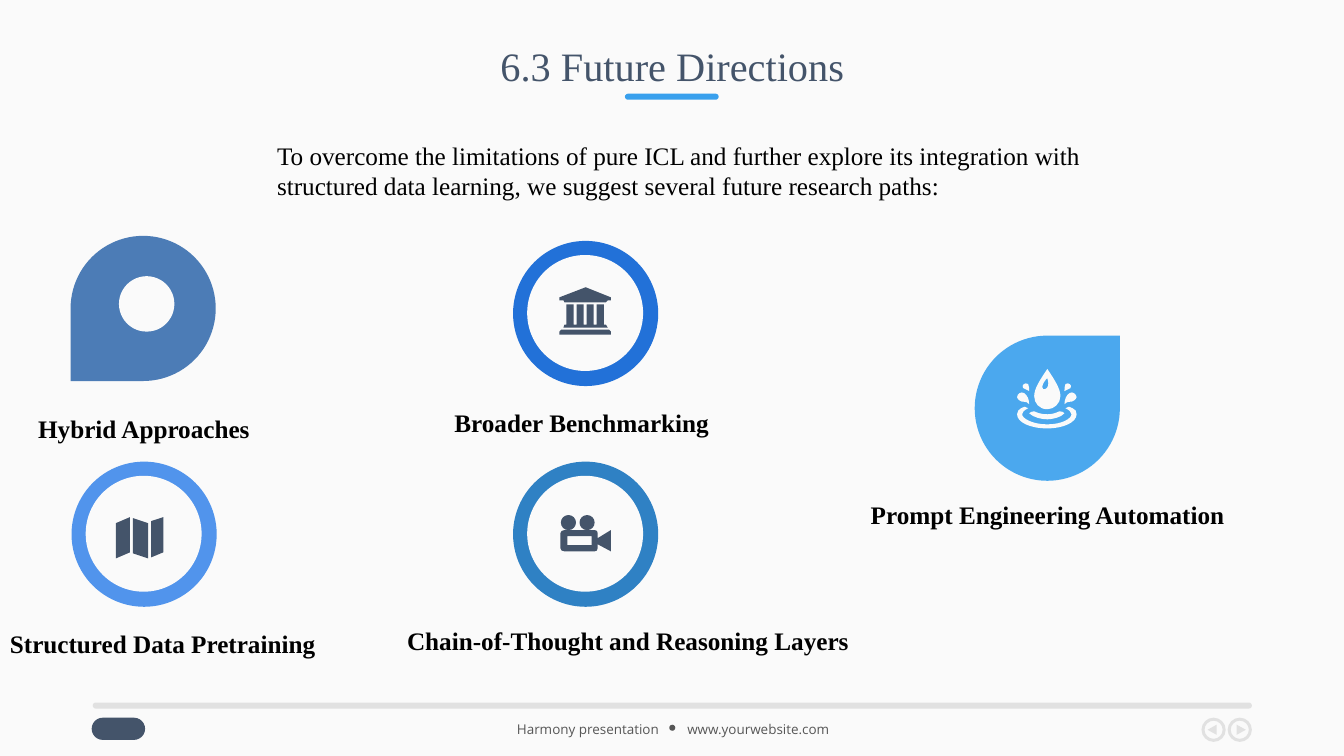
import pptx
import pptx.util
import pptx.dml.color
import pptx.enum.shapes
import pptx.enum.text
import pptx.oxml.ns
from lxml import etree

Inches = pptx.util.Inches
qn = pptx.oxml.ns.qn
SHAPES = pptx.enum.shapes.MSO_SHAPE
ALIGN = pptx.enum.text.PP_ALIGN
COLORS = {
    "paper": "FAFAFA", "slate": "44546A", "accent": "39A0ED", "rule": "E1E1E1",
    "footer": "565656", "ink": "000000", "map": "5194EC", "bank": "2271D8",
    "camera": "2F81C4", "hybrid": "3A6FAF",
}


def rectangle(left, top, right, bottom):
    return [(left, top), (right, top), (right, bottom), (left, bottom)]


def circle(x, y, r):
    k = 0.55 * r
    return [(x, y - r),
            (x + k, y - r, x + r, y - k, x + r, y), (x + r, y + k, x + k, y + r, x, y + r),
            (x - k, y + r, x - r, y + k, x - r, y), (x - r, y - k, x - k, y - r, x, y - r)]


def mirror(contour, axis):
    return [tuple(value if i % 2 else 2 * axis - value for i, value in enumerate(segment))
            for segment in contour]


class SlidePainter:
    FONT = "Times New Roman"

    def __init__(self, page):
        self.page = page
        page.background.fill.solid()
        page.background.fill.fore_color.rgb = self.color("paper")

    def color(self, name):
        return pptx.dml.color.RGBColor.from_string(COLORS[name])

    def paint(self, shape, color, opacity=100):
        shape.shadow.inherit = False
        shape.fill.solid()
        shape.fill.fore_color.rgb = self.color(color)
        shape.line.fill.background()
        if opacity < 100:
            rgb = shape.fill._xPr.find(".//" + qn("a:srgbClr"))
            etree.SubElement(rgb, qn("a:alpha"), val=str(opacity * 1000))
        return shape

    def shape(self, kind, left, top, width, height, color, opacity=100, parent=None):
        box = (parent or self.page).shapes.add_shape(
            kind, Inches(left), Inches(top), Inches(width), Inches(height))
        return self.paint(box, color, opacity)

    def pill(self, left, top, width, height, color):
        box = self.shape(SHAPES.ROUNDED_RECTANGLE, left, top, width, height, color)
        box.adjustments[0] = 0.5

    def ring(self, left, top, color):
        group = self.page.shapes.add_group_shape()
        self.shape(SHAPES.OVAL, left, top, 1.44, 1.44, color, parent=group)
        self.shape(SHAPES.OVAL, left + 0.14, top + 0.14, 1.15, 1.15, "paper", parent=group)

    def drop(self, left, top, color, rotation=0):
        box = self.shape(SHAPES.TEAR, left, top, 1.44, 1.44, color, opacity=90)
        box.rotation = rotation

    def icon(self, contours, color):
        """Draw closed contours: pairs are corners, sextuples are cubic curves."""
        builder = None
        for (x, y), *segments in contours:
            if builder is None:
                builder = self.page.shapes.build_freeform(Inches(x), Inches(y))
            else:
                builder.move_to(Inches(x), Inches(y))
            points = [(Inches(segment[i]), Inches(segment[i + 1]))
                      for segment in segments for i in range(0, len(segment), 2)]
            builder.add_line_segments(points, close=False)
        shape = self.paint(builder.convert_to_shape(), color)
        outline = shape._element.find(".//" + qn("a:path"))
        lines = iter(outline.findall(qn("a:lnTo")))
        for contour in contours:
            for segment in contour[1:]:
                last = next(lines)
                if len(segment) == 6:
                    last.tag = qn("a:cubicBezTo")
                    for extra in (next(lines), next(lines)):
                        last.append(extra[0])
                        outline.remove(extra)
            last.addnext(etree.Element(qn("a:close")))

    def text(self, words, left, top, width, height, size=18, color="ink", bold=False,
             font=FONT, align=ALIGN.LEFT, spacing=None, middle=False, tab=None):
        box = self.page.shapes.add_textbox(
            Inches(left), Inches(top), Inches(width), Inches(height))
        frame = box.text_frame
        frame.word_wrap = True
        if middle:
            frame.vertical_anchor = pptx.enum.text.MSO_ANCHOR.MIDDLE
        else:
            frame.auto_size = pptx.enum.text.MSO_AUTO_SIZE.SHAPE_TO_FIT_TEXT
        para = frame.paragraphs[0]
        para.text = words
        para.alignment = align
        if spacing:
            para.line_spacing = spacing
        if tab:
            tabs = etree.SubElement(para._p.get_or_add_pPr(), qn("a:tabLst"))
            etree.SubElement(tabs, qn("a:tab"), pos=str(Inches(tab)), algn="l")
        para.font.name = font
        para.font.size = pptx.util.Pt(size)
        para.font.bold = bold
        para.font.color.rgb = self.color(color)


def draw_footer(painter):
    painter.pill(0.91, 7.12, 0.53, 0.22, "slate")
    painter.pill(0.92, 6.97, 11.5, 0.06, "rule")
    for x, direction in ((12.3, 1), (12.04, -1)):
        arrow = [(x - 0.03 * direction, 7.19), (x + 0.06 * direction, 7.24),
                 (x - 0.03 * direction, 7.29)]
        painter.icon([circle(x, 7.24, 0.12), circle(x, 7.24, 0.09), arrow], "rule")
    painter.text("Harmony presentation\twww.yourwebsite.com", 5.03, 7.02, 3.4, 0.34,
                 size=9.6, color="footer", font="Open Sans", spacing=1.5, tab=1.69)
    painter.shape(SHAPES.OVAL, 6.64, 7.19, 0.06, 0.06, "footer")


def draw_water(painter):
    drop = [(10.39, 4.06), (10.46, 4.06, 10.52, 4, 10.52, 3.93),
            (10.52, 3.86, 10.47, 3.78, 10.39, 3.66),
            (10.31, 3.78, 10.26, 3.86, 10.26, 3.93), (10.26, 4, 10.31, 4.06, 10.39, 4.06)]
    glint = [(10.39, 3.75), (10.39, 3.76, 10.4, 3.78, 10.4, 3.8),
             (10.4, 3.87, 10.34, 3.88, 10.34, 3.84), (10.34, 3.81, 10.37, 3.77, 10.39, 3.75)]
    ripple = [(10.39, 4.16), (10.33, 4.16, 10.25, 4.14, 10.21, 4.1),
              (10.22, 4.09, 10.24, 4.08, 10.26, 4.08), (10.28, 4.09, 10.32, 4.11, 10.39, 4.11),
              (10.45, 4.11, 10.49, 4.09, 10.51, 4.08), (10.54, 4.08, 10.55, 4.09, 10.56, 4.1),
              (10.53, 4.14, 10.44, 4.16, 10.39, 4.16)]
    pool = [(10.68, 4.11), (10.68, 4.19, 10.55, 4.25, 10.39, 4.25),
            (10.22, 4.25, 10.09, 4.19, 10.09, 4.11), (10.09, 4.08, 10.11, 4.06, 10.13, 4.05),
            (10.15, 4.03, 10.18, 4.03, 10.2, 4.05), (10.16, 4.07, 10.14, 4.09, 10.14, 4.11),
            (10.14, 4.15, 10.24, 4.21, 10.39, 4.21), (10.54, 4.21, 10.63, 4.15, 10.63, 4.11),
            (10.63, 4.09, 10.61, 4.07, 10.57, 4.05), (10.59, 4.03, 10.62, 4.03, 10.64, 4.05),
            (10.67, 4.06, 10.68, 4.08, 10.68, 4.11)]
    splashes = [
        [(10.56, 4.01), (10.59, 3.97, 10.63, 4, 10.66, 3.97),
         (10.67, 3.96, 10.68, 3.95, 10.68, 3.94), (10.68, 3.91, 10.64, 3.88, 10.61, 3.9),
         (10.58, 3.92, 10.56, 3.96, 10.56, 4.01)],
        [(10.56, 3.88), (10.58, 3.86, 10.6, 3.87, 10.62, 3.85),
         (10.64, 3.82, 10.6, 3.79, 10.57, 3.81), (10.56, 3.83, 10.56, 3.86, 10.56, 3.88)],
    ]
    mirrored = [mirror(splash, 10.385) for splash in splashes]
    painter.icon([drop, glint, ripple, pool, *splashes, *mirrored], "paper")


def draw_map(painter):
    painter.icon([
        [(1.15, 5.19), (1.29, 5.13), (1.29, 5.48), (1.15, 5.54)],
        [(1.32, 5.14), (1.47, 5.19), (1.47, 5.54), (1.32, 5.49)],
        [(1.5, 5.17), (1.62, 5.13), (1.62, 5.48), (1.5, 5.53)],
    ], "slate")


def draw_bank(painter):
    roof = [(5.55, 2.95), (5.81, 2.85), (6.06, 2.95), (6.06, 2.98), (6.03, 2.98),
            (6.01, 3), (5.6, 3), (5.59, 2.98), (5.55, 2.98)]
    columns = [rectangle(5.62 + 0.1 * i, 3.02, 5.69 + 0.1 * i, 3.22) for i in range(4)]
    plinth = [(5.59, 3.25), (5.6, 3.22), (6.01, 3.22), (6.03, 3.25)]
    base = [(5.55, 3.32), (5.55, 3.29), (5.57, 3.27), (6.04, 3.27), (6.06, 3.29), (6.06, 3.32)]
    painter.icon([roof, *columns, plinth, base], "slate")


def draw_camera(painter):
    body = [(5.6, 5.26), (5.9, 5.26), (5.92, 5.26, 5.93, 5.27, 5.93, 5.29), (5.93, 5.34),
            (6.06, 5.26), (6.06, 5.47), (5.93, 5.4), (5.93, 5.44),
            (5.93, 5.46, 5.92, 5.47, 5.9, 5.47), (5.6, 5.47),
            (5.58, 5.47, 5.56, 5.46, 5.56, 5.44), (5.56, 5.29),
            (5.56, 5.27, 5.58, 5.26, 5.6, 5.26)]
    reels = [circle(x, 5.185, 0.075) for x in (5.64, 5.825)]
    painter.icon([*reels, body, rectangle(5.63, 5.32, 5.87, 5.41)], "slate")


def main():
    deck = pptx.Presentation()
    deck.slide_width, deck.slide_height = Inches(40 / 3), Inches(7.5)
    painter = SlidePainter(deck.slides.add_slide(deck.slide_layouts[6]))
    painter.pill(6.2, 0.93, 0.93, 0.06, "accent")
    draw_footer(painter)
    painter.text("6.3 Future Directions", 0.92, 0.4, 11.5, 0.56, size=28.8, color="slate",
                 align=ALIGN.CENTER, spacing=0.9, middle=True)
    for left, top, color in ((0.71, 4.58, "map"), (5.09, 2.39, "bank"), (5.09, 4.58, "camera")):
        painter.ring(left, top, color)
    painter.drop(9.67, 3.33, "accent")
    painter.drop(0.7, 2.34, "hybrid", rotation=180)
    draw_water(painter)
    painter.shape(SHAPES.OVAL, 1.18, 2.74, 0.55, 0.55, "paper")
    draw_map(painter)
    draw_bank(painter)
    draw_camera(painter)
    painter.text("To overcome the limitations of pure ICL and further explore its integration with "
                 "structured data learning, we suggest several future research paths:",
                 2.65, 1.34, 8.81, 0.71)
    for words, left, top, width in (
        ("Hybrid Approaches", 0.28, 4.05, 6.67),
        ("Structured Data Pretraining", 0, 6.18, 6.67),
        ("Prompt Engineering Automation", 8.54, 4.9, 6.7),
        ("Chain-of-Thought and Reasoning Layers", 3.94, 6.15, 6.7),
        ("Broader Benchmarking", 4.41, 3.99, 6.7),
    ):
        painter.text(words, left, top, width, 0.4, bold=True)
    deck.save("out.pptx")


if __name__ == "__main__":
    main()
